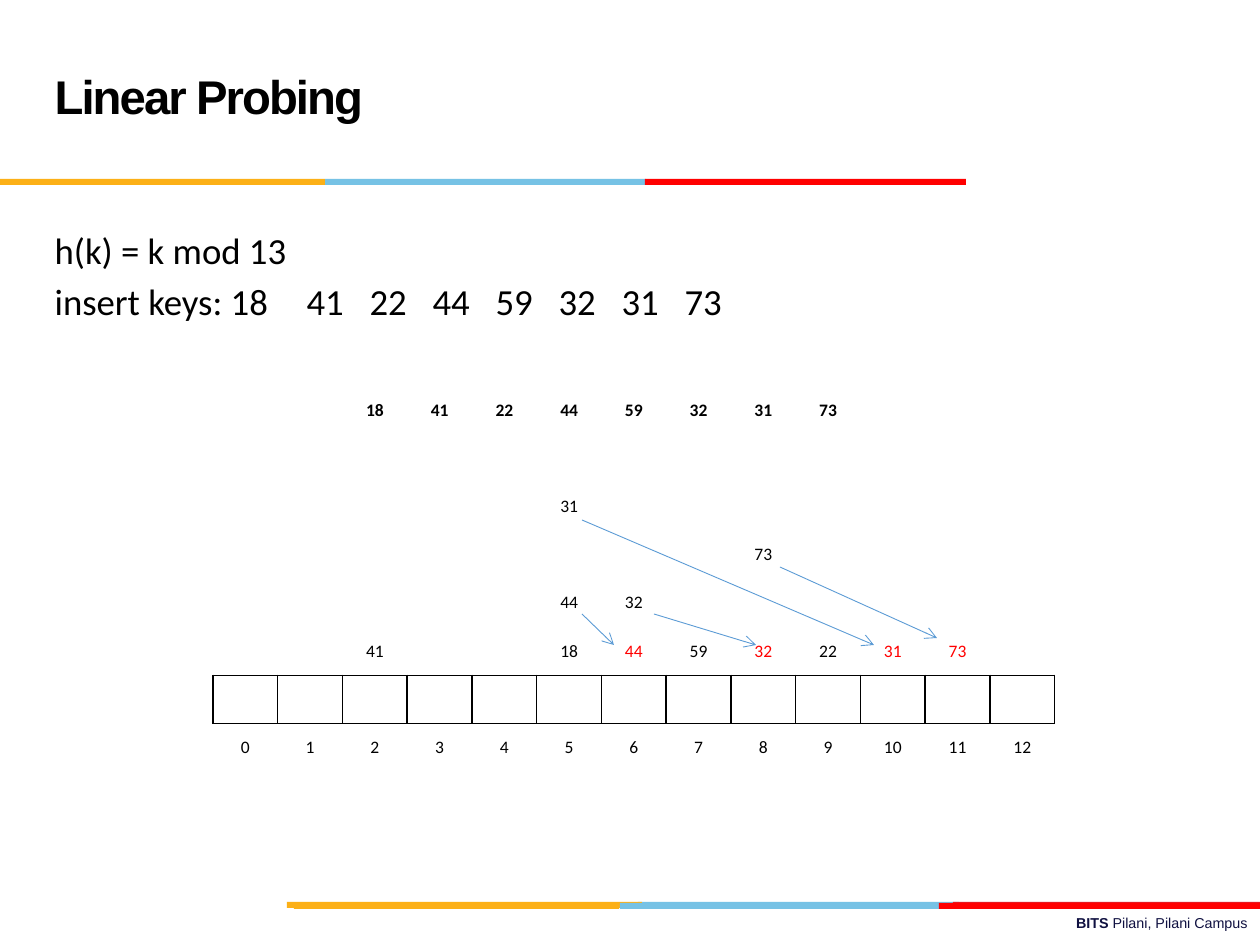
from lxml.etree import SubElement
from pptx import Presentation
from pptx.dml.color import RGBColor
from pptx.enum.shapes import MSO_CONNECTOR as Connector, MSO_SHAPE as Shape
from pptx.enum.text import MSO_ANCHOR as Anchor, MSO_AUTO_SIZE as AutoSize, PP_ALIGN as Align
from pptx.oxml.ns import qn
from pptx.util import Pt

EMU_PER_PX = 914400 / 126
COLORS = {
    "black": "000000", "red": "FF0000", "crimson": "E31C24", "amber": "FCB017",
    "sky": "76C2E5", "navy": "101141", "arrow": "5B9BD5",
}
NO_STYLE_NO_GRID = "{2D5ABB26-0587-4C30-8999-92F81FD0307C}"
TITLE_FORMAT = {"name": "Arial", "size": Pt(27), "bold": True}
BODY_FORMAT = {"name": "Calibri", "size": Pt(21), "bold": False}
CELL_FORMAT = {"name": "Calibri", "size": Pt(10), "bold": False}
FOOTER_FORMAT = {"name": "Arial", "size": Pt(8.2), "bold": False}

KEYS = [18, 41, 22, 44, 59, 32, 31, 73]
KEY_TABS = [263, 333, 395, 457, 528, 598, 660]
SLOTS = 13
KEY_ROW, STORED_ROW, ARRAY_ROW, INDEX_ROW = 0, 5, 6, 7
FIRST_KEY_COLUMN = 2
STORED = {2: 41, 5: 18, 6: 44, 7: 59, 8: 32, 9: 22, 10: 31, 11: 73}
COLLISIONS = {(2, 5): 31, (3, 8): 73, (4, 5): 44, (4, 6): 32}
BORDERS = {STORED_ROW: "B", ARRAY_ROW: "LRTB", INDEX_ROW: "T"}

# (top, [(left, width, color), ...])
BARS = [
    (902, [(638, 321, "sky"), (953, 307, "crimson"), (287, 355, "amber")]),
    (903, [(620, 321, "sky"), (294, 325, "amber"), (939, 321, "red")]),
    (179, [(325, 321, "sky"), (0, 325, "amber"), (645, 321, "red")]),
]
ARROWS = [
    (582, 614, 614, 645), (654, 614, 756, 645),
    (582, 520, 874, 645), (780, 567, 937, 638),
]


def px(length):
    return round(length * EMU_PER_PX)


def rgb(color):
    return RGBColor.from_string(COLORS[color])


def set_all(target, values):
    for name, value in values.items():
        setattr(target, name, value)


def place(shape, left, top, width, height):
    set_all(shape, {"left": px(left), "top": px(top),
                    "width": px(width), "height": px(height)})


def add_run(paragraph, text, values, color="black"):
    run = paragraph.add_run()
    run.text = text
    set_all(run.font, values)
    run.font.color.rgb = rgb(color)
    return run


def set_plain_paragraph(paragraph, tabs=()):
    """Remove bullet and indent, and set tab stops in px."""
    properties = paragraph._p.get_or_add_pPr()
    properties.set("marL", "0")
    properties.set("indent", "0")
    SubElement(properties, qn("a:buNone"))
    if tabs:
        tab_list = SubElement(properties, qn("a:tabLst"))
        for position in tabs:
            SubElement(tab_list, qn("a:tab"), pos=str(px(position)), algn="l")
    set_all(paragraph, {"alignment": Align.LEFT, "space_before": Pt(0)})


def add_bar(slide, left, top, width, color):
    bar = slide.shapes.add_shape(Shape.RECTANGLE, px(left), px(top), px(width), px(6))
    bar.shadow.inherit = False
    bar.fill.solid()
    bar.fill.fore_color.rgb = rgb(color)
    bar.line.fill.background()


def add_footer(slide):
    box = slide.shapes.add_textbox(px(451), px(908), px(809), px(30))
    box.text_frame.word_wrap = True
    paragraph = box.text_frame.paragraphs[0]
    paragraph.alignment = Align.RIGHT
    add_run(paragraph, "BITS ", {**FOOTER_FORMAT, "bold": True}, "navy")
    add_run(paragraph, "Pilani, Pilani Campus", FOOTER_FORMAT, "navy")


def fill_title(title):
    place(title, 42, 21, 872, 158)
    set_all(title.text_frame, {"vertical_anchor": Anchor.MIDDLE, "auto_size": AutoSize.NONE})
    paragraph = title.text_frame.paragraphs[0]
    set_plain_paragraph(paragraph)
    paragraph.line_spacing = Pt(27)
    run = add_run(paragraph, "Linear Probing", TITLE_FORMAT)
    run.font._element.set("spc", "-110")


def fill_body(body):
    place(body, 42, 221, 1134, 624)
    frame = body.text_frame
    frame.auto_size = AutoSize.NONE
    formula = frame.paragraphs[0]
    set_plain_paragraph(formula)
    add_run(formula, "h(k) = k mod 13", BODY_FORMAT)
    keys = frame.add_paragraph()
    set_plain_paragraph(keys, KEY_TABS)
    keys.space_before = Pt(4.2)
    add_run(keys, "insert keys: " + "\t".join(map(str, KEYS)), BODY_FORMAT)


def add_border(cell, side):
    line = SubElement(cell._tc.get_or_add_tcPr(), qn(f"a:ln{side}"), w=str(Pt(1)))
    fill = SubElement(line, qn("a:solidFill"))
    SubElement(fill, qn("a:srgbClr"), val=COLORS["black"])


def hash_table_values():
    """Map (row, column) to the number shown there."""
    values = {(KEY_ROW, FIRST_KEY_COLUMN + i): key for i, key in enumerate(KEYS)}
    values.update({(STORED_ROW, column): key for column, key in STORED.items()})
    values.update({(INDEX_ROW, column): column for column in range(SLOTS)})
    return {**values, **COLLISIONS}


def add_hash_table(slide):
    frame = slide.shapes.add_table(INDEX_ROW + 1, SLOTS, px(213), px(386), px(842), px(386))
    table = frame.table
    set_all(table, {"first_row": False, "horz_banding": False})
    table._tbl.tblPr.find(qn("a:tableStyleId")).text = NO_STYLE_NO_GRID
    values = hash_table_values()
    for row in range(INDEX_ROW + 1):
        for column in range(SLOTS):
            cell = table.cell(row, column)
            set_all(cell, {"margin_left": px(9), "margin_right": px(9), "margin_top": px(4),
                           "margin_bottom": px(4), "vertical_anchor": Anchor.MIDDLE})
            for side in BORDERS.get(row, ""):
                add_border(cell, side)
            cell.fill.background()
            if (row, column) not in values:
                continue
            value = values[row, column]
            moved = row == STORED_ROW and value % SLOTS != column
            paragraph = cell.text_frame.paragraphs[0]
            paragraph.alignment = Align.CENTER
            add_run(paragraph, str(value), {**CELL_FORMAT, "bold": row == KEY_ROW},
                    "red" if moved else "black")


def add_arrow(slide, *ends):
    arrow = slide.shapes.add_connector(Connector.STRAIGHT, *map(px, ends))
    arrow.line.width = Pt(0.5)
    arrow.line.color.rgb = rgb("arrow")
    SubElement(arrow.line._get_or_add_ln(), qn("a:tailEnd"), type="arrow")
    SubElement(arrow._element.spPr, qn("a:effectLst"))


def main():
    presentation = Presentation()
    set_all(presentation, {"slide_width": px(1260), "slide_height": px(945)})
    slide = presentation.slides.add_slide(presentation.slide_layouts[1])
    add_footer(slide)
    for top, bars in BARS:
        for left, width, color in bars:
            add_bar(slide, left, top, width, color)
    fill_body(slide.placeholders[1])
    fill_title(slide.shapes.title)
    add_hash_table(slide)
    for ends in ARROWS:
        add_arrow(slide, *ends)
    presentation.save("out.pptx")


if __name__ == "__main__":
    main()
